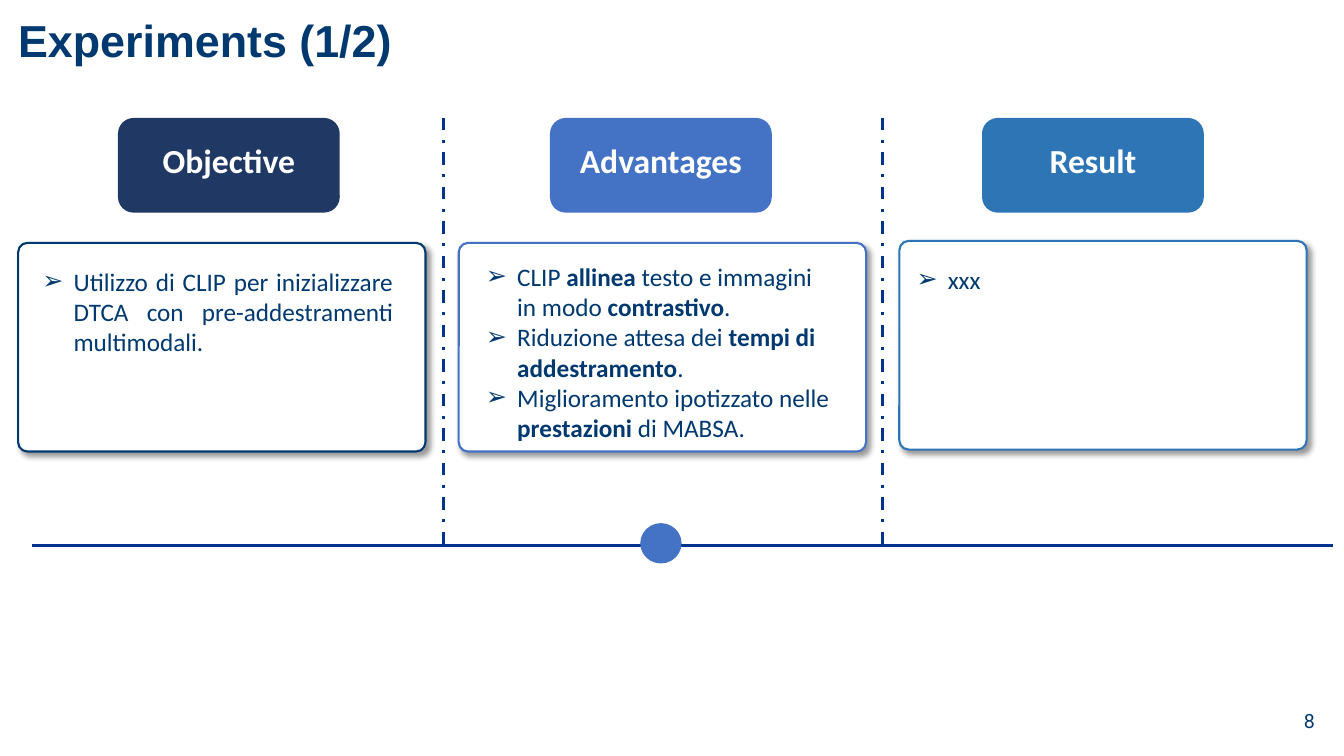
from lxml import etree
from pptx import Presentation
from pptx.dml.color import RGBColor
from pptx.enum.dml import MSO_LINE
from pptx.enum.shapes import MSO_CONNECTOR, MSO_SHAPE
from pptx.enum.text import MSO_ANCHOR, MSO_AUTO_SIZE, PP_ALIGN
from pptx.oxml.ns import qn
from pptx.util import Emu, Inches, Pt

ROUNDED, OVAL = MSO_SHAPE.ROUNDED_RECTANGLE, MSO_SHAPE.OVAL
STRAIGHT, DASH_DOT = MSO_CONNECTOR.STRAIGHT, MSO_LINE.DASH_DOT
TOP, MIDDLE = MSO_ANCHOR.TOP, MSO_ANCHOR.MIDDLE
LEFT, CENTER, RIGHT, JUSTIFY = PP_ALIGN.LEFT, PP_ALIGN.CENTER, PP_ALIGN.RIGHT, PP_ALIGN.JUSTIFY

WIDTH, HEIGHT = Inches(13.33), Inches(7.5)
COLUMNS, ROWS = 133.3, 75
NAVY, RULE, BLUE, WHITE = "00396F", "00338D", "4472C4", "FFFFFF"


def color(hex_code):
    return RGBColor.from_string(hex_code)


def format_with(target, values):
    for name, value in values.items():
        setattr(target, name, value)


class Slide:
    """Holds the page and draws on a grid of COLUMNS by ROWS."""

    list_font = {"name": "Calibri", "size": Pt(18)}
    tab_font = {"name": "Calibri", "size": Pt(24), "bold": True}
    title_font = {"name": "Arial", "size": Pt(32), "bold": True}
    number_font = {"name": "Roboto", "size": Pt(14), "bold": False}

    def __init__(self, page):
        self.page = page

    def grid(self, left, top, width, height):
        x, y = WIDTH / COLUMNS, HEIGHT / ROWS
        return [Emu(round(n)) for n in (left * x, top * y, width * x, height * y)]

    def frame(self, box, anchor, inset=None):
        format_with(box.text_frame, {"word_wrap": True, "auto_size": MSO_AUTO_SIZE.NONE,
                                     "vertical_anchor": anchor})
        if inset is not None:
            sides = ("left", "top", "right", "bottom")
            format_with(box.text_frame, {f"margin_{side}": Inches(inset) for side in sides})

    def add_text(self, para, text, font, ink, **layout):
        """Fill a paragraph; parts between asterisks are bold."""
        format_with(para, {"space_before": Pt(0), **layout})
        for index, part in enumerate(text.split("*")):
            if part:
                span = para.add_run()
                span.text = part
                format_with(span.font, {"bold": index % 2 == 1, **font})
                span.font.color.rgb = color(ink)

    def place(self, index, area):
        """Move a placeholder to its area, in front of what is drawn so far."""
        box = self.page.placeholders[index]
        format_with(box, dict(zip(("left", "top", "width", "height"), self.grid(*area))))
        box.element.getparent().append(box.element)
        return box

    def title(self, text, area):
        box = self.place(0, area)
        self.frame(box, TOP, 0)
        self.add_text(box.text_frame.paragraphs[0], text, self.title_font, NAVY,
                      alignment=LEFT, line_spacing=0.9)

    def bullets(self, index, items, area, alignment):
        box = self.place(index, area)
        self.frame(box, TOP)
        for number, item in enumerate(items):
            para = box.text_frame.paragraphs[0] if number == 0 else box.text_frame.add_paragraph()
            props = para._p.get_or_add_pPr()
            props.set("marL", str(int(Inches(0.31))))
            props.set("indent", str(-int(Inches(0.31))))
            etree.SubElement(props, qn("a:buChar")).set("char", "➢")
            self.add_text(para, item, self.list_font, NAVY, alignment=alignment, line_spacing=1.0)

    def shape(self, kind, area, fill, outline=None):
        shape = self.page.shapes.add_shape(kind, *self.grid(*area))
        shape.shadow.inherit = False
        shape.fill.solid()
        shape.fill.fore_color.rgb = color(fill)
        if outline:
            shape.line.color.rgb = color(outline)
            shape.line.width = Pt(1.5)
        else:
            shape.line.fill.background()
        return shape

    def card(self, area, outline):
        card = self.shape(ROUNDED, area, WHITE, outline)
        card.adjustments[0] = 0.045
        effects = card.element.spPr.find(qn("a:effectLst"))
        shadow = etree.SubElement(effects, qn("a:outerShdw"), blurRad=str(int(Pt(4))),
                                  dist=str(int(Pt(3))), dir=str(45 * 60000),
                                  algn="tl", rotWithShape="0")
        ink = etree.SubElement(shadow, qn("a:srgbClr"), val="000000")
        etree.SubElement(ink, qn("a:alpha"), val="40000")

    def tab(self, text, area, fill):
        tab = self.shape(ROUNDED, area, fill)
        self.frame(tab, MIDDLE, 0.2)
        self.add_text(tab.text_frame.paragraphs[0], text, self.tab_font, WHITE,
                      alignment=CENTER, line_spacing=0.7, space_after=Pt(6))

    def rule(self, start, end, dash=None):
        ends = self.grid(*start, *end)
        line = self.page.shapes.add_connector(STRAIGHT, *ends)
        line.line.color.rgb = color(RULE)
        line.line.width = Pt(2.25)
        if dash:
            line.line.dash_style = dash
        etree.SubElement(line.element.spPr, qn("a:effectLst"))

    def number(self, text, area):
        box = self.page.shapes.add_textbox(*self.grid(*area))
        self.frame(box, MIDDLE)
        self.add_text(box.text_frame.paragraphs[0], text, self.number_font, NAVY, alignment=RIGHT)


# Heading, tab fill, card outline, card top, placeholder, list area, alignment, list
TOPICS = [
    ("Objective", "203864", NAVY, 24.1, 1, (3.2, 25.9, 36.8, 10.1), JUSTIFY,
     ["Utilizzo di CLIP per inizializzare DTCA con pre-addestramenti multimodali."]),
    ("Advantages", BLUE, BLUE, 24.1, 2, (47.2, 25.4, 36.7, 19.2), LEFT,
     ["CLIP *allinea* testo e immagini in modo *contrastivo*.",
      "Riduzione attesa dei *tempi di addestramento*.",
      "Miglioramento ipotizzato nelle *prestazioni* di MABSA."]),
    ("Result", "2E75B6", "2E75B6", 23.9, 4, (89.9, 25.7, 39, 4), JUSTIFY, ["xxx"]),
]


def main():
    deck = Presentation()
    deck.slide_width, deck.slide_height = WIDTH, HEIGHT
    page = deck.slides.add_slide(deck.slide_layouts.get_by_name("Comparison"))
    slide = Slide(page)

    # Title and page number
    slide.title("Experiments (1/2)", (1.8, 1.9, 99.5, 5.2))
    slide.number("8", (101.4, 69.5, 30, 4))

    # Three topics, each a tab above a card with a list
    for column, topic in enumerate(TOPICS):
        heading, fill, outline, top, index, area, alignment, items = topic
        slide.card((1.8 + 43.7 * column, top, 40.4, 20.7), outline)
        slide.tab(heading, (11.7 + 42.85 * column, 11.7, 22, 9.4), fill)
        slide.bullets(index, items, area, alignment)

    # Column dividers and the base line with its marker
    for x in (44, 87.5):
        slide.rule((x, 11.7), (x, 54.1), DASH_DOT)
    slide.rule((3.2, 54.1), (132.2, 54.1))
    slide.shape(OVAL, (63.5, 51.9, 4.1, 4), BLUE)

    # Drop the unused placeholder
    for box in list(page.placeholders):
        if not box.text_frame.text:
            box.element.getparent().remove(box.element)

    deck.save("out.pptx")


if __name__ == "__main__":
    main()
